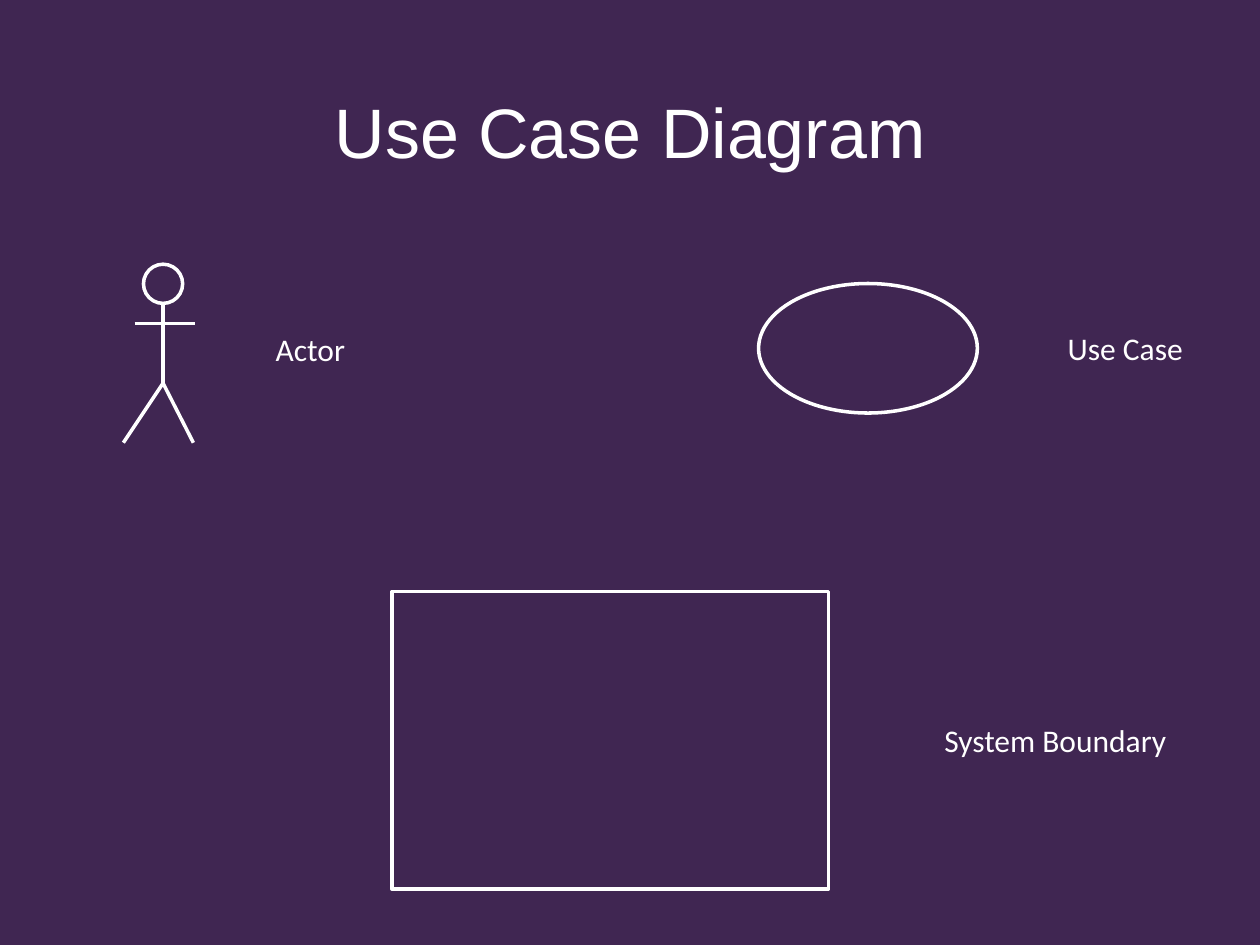
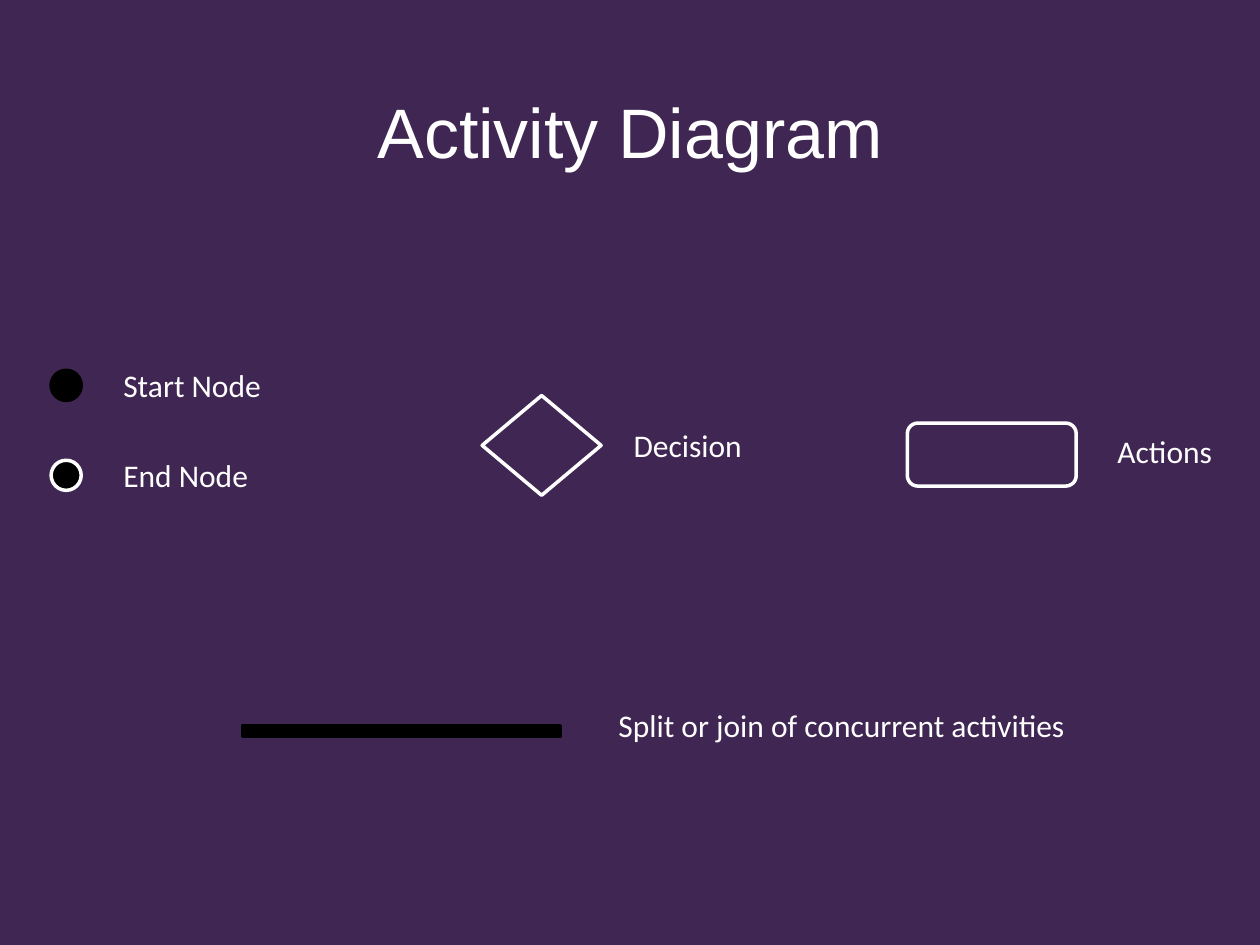
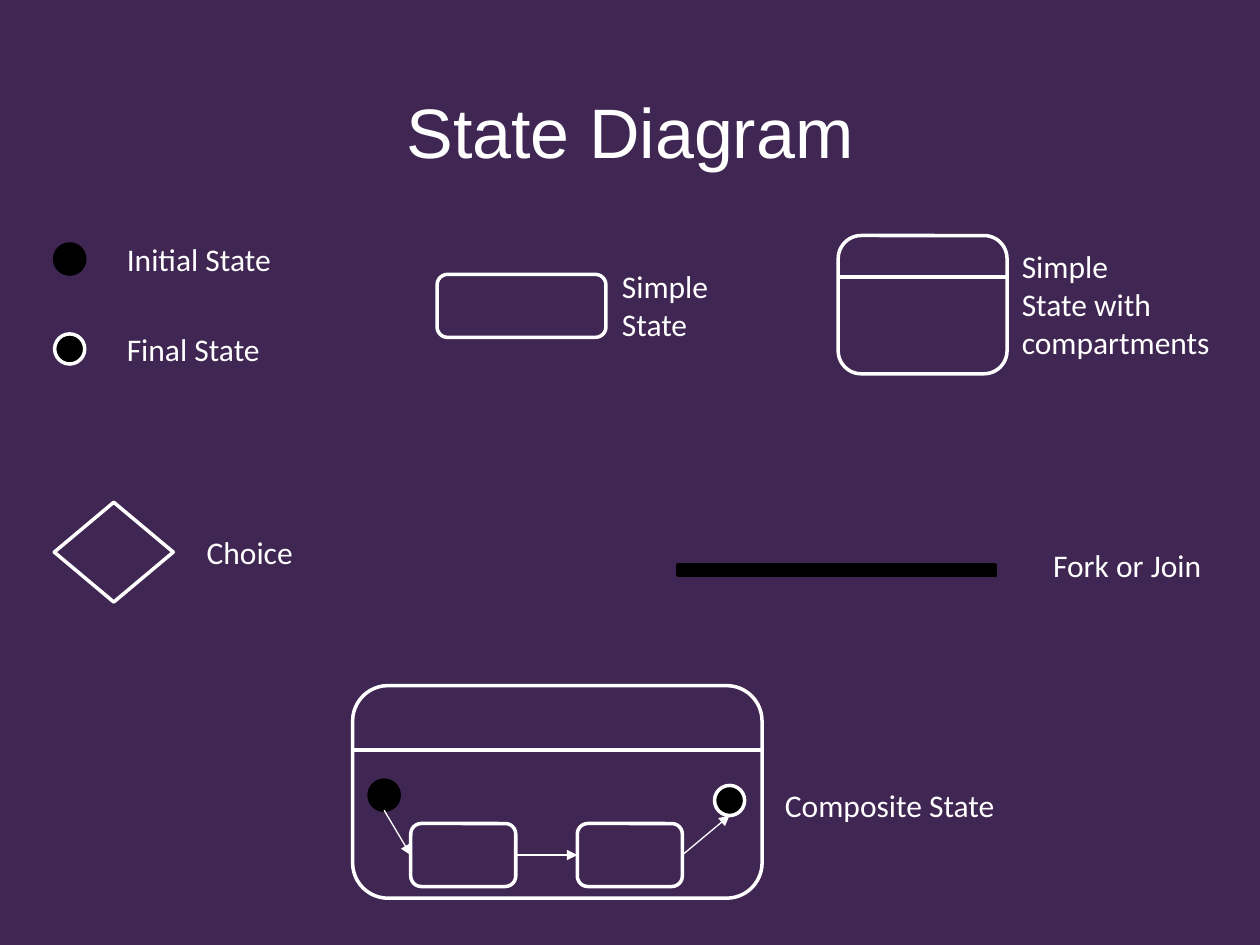
from dataclasses import dataclass

from lxml import etree
from pptx import Presentation
from pptx.dml.color import RGBColor
from pptx.enum.shapes import MSO_CONNECTOR, MSO_SHAPE
from pptx.enum.text import MSO_ANCHOR, MSO_AUTO_SIZE, PP_ALIGN
from pptx.oxml.ns import qn
from pptx.util import Pt

ELLIPSE = MSO_SHAPE.OVAL
RECTANGLE = MSO_SHAPE.RECTANGLE
ROUNDED = MSO_SHAPE.ROUNDED_RECTANGLE
DIAMOND = MSO_SHAPE.DIAMOND
STRAIGHT = MSO_CONNECTOR.STRAIGHT
TOP = MSO_ANCHOR.TOP
CENTER = PP_ALIGN.CENTER
NO_AUTOFIT = MSO_AUTO_SIZE.NONE
GROW = MSO_AUTO_SIZE.SHAPE_TO_FIT_TEXT
TITLE_ONLY = 5


@dataclass(frozen=True)
class Theme:
    background: RGBColor = RGBColor(0x40, 0x26, 0x52)
    ink: RGBColor = RGBColor(0xFF, 0xFF, 0xFF)
    solid: RGBColor = RGBColor(0x00, 0x00, 0x00)
    title_font: str = "Arial"
    title_size: int = 40
    label_font: str = "Calibri"
    label_size: int = 18
    label_line: int = 22
    label_padding: int = 7
    outline: float = 2
    arrow: float = 0.75


@dataclass(frozen=True)
class Box:
    left: float
    top: float
    width: float
    height: float

    @property
    def right(self):
        return self.left + self.width

    @property
    def bottom(self):
        return self.top + self.height

    @property
    def center(self):
        return self.left + self.width / 2

    @property
    def middle(self):
        return self.top + self.height / 2

    def inner(self, left, top, width, height):
        """Return a box placed relative to this one's top left corner."""
        return Box(self.left + left, self.top + top, width, height)

    def points(self):
        return [Pt(length) for length in (self.left, self.top, self.width, self.height)]


THEME = Theme()
TITLE_BOX = Box(36, 43, 648, 50)
NODE_SIZE = 17.2
NODE_PITCH = 51.4


def style_text(paragraph, font, size):
    paragraph.font.name = font
    paragraph.font.size = Pt(size)
    paragraph.font.color.rgb = THEME.ink


def add_page(deck, title):
    page = deck.slides.add_slide(deck.slide_layouts[TITLE_ONLY])
    holder = page.shapes.title
    holder.left, holder.top, holder.width, holder.height = TITLE_BOX.points()
    frame = holder.text_frame
    frame.text = title
    frame.auto_size = NO_AUTOFIT
    frame.vertical_anchor = TOP
    frame.margin_top, frame.margin_bottom = Pt(7.4), Pt(0)
    paragraph = frame.paragraphs[0]
    paragraph.alignment = CENTER
    style_text(paragraph, THEME.title_font, THEME.title_size)
    return page


def add_outline(shapes, preset, box, fill=None, line=THEME.ink):
    shape = shapes.add_shape(preset, *box.points())
    shape.shadow.inherit = False
    if fill is None:
        shape.fill.background()
    else:
        shape.fill.solid()
        shape.fill.fore_color.rgb = fill
    shape.line.color.rgb = line
    shape.line.width = Pt(THEME.outline)


def add_line(shapes, start, end, arrow=False):
    line = shapes.add_connector(STRAIGHT, *[Pt(length) for length in (*start, *end)])
    line.line.color.rgb = THEME.ink
    line.line.width = Pt(THEME.arrow if arrow else THEME.outline)
    if arrow:
        etree.SubElement(line.line._get_or_add_ln(), qn("a:tailEnd"), type="triangle")
    etree.SubElement(line._element.spPr, qn("a:effectLst"))


def add_label(shapes, text, box, gap, width, shift=0):
    """Write a label to the right of a symbol, level with its middle."""
    height = THEME.label_line * len(text.split("\n")) + THEME.label_padding
    place = Box(box.right + gap, box.middle - height / 2 + shift, width, height)
    frame = shapes.add_textbox(*place.points()).text_frame
    frame.word_wrap = False
    frame.auto_size = GROW
    frame.text = text
    for paragraph in frame.paragraphs:
        style_text(paragraph, THEME.label_font, THEME.label_size)


def draw_actor(shapes, box):
    head = box.inner(11.5, 0, 22.4, 22.4)
    hip = (head.center, box.top + 68)
    add_outline(shapes, ELLIPSE, head)
    add_line(shapes, (head.center, head.bottom), hip)
    add_line(shapes, hip, (box.left, box.bottom))
    add_line(shapes, hip, (box.right - 1, box.bottom))
    add_line(shapes, (box.left + 6.5, box.top + 33.8), (box.right, box.top + 33.8))


def draw_ellipse(shapes, box):
    add_outline(shapes, ELLIPSE, box)


def draw_rectangle(shapes, box):
    add_outline(shapes, RECTANGLE, box)


def draw_diamond(shapes, box):
    add_outline(shapes, DIAMOND, box)


def draw_rounded(shapes, box):
    add_outline(shapes, ROUNDED, box)


def draw_bar(shapes, box):
    add_outline(shapes, RECTANGLE, box, THEME.solid, THEME.solid)


def draw_start(shapes, box):
    add_outline(shapes, ELLIPSE, box, THEME.solid, THEME.solid)


def draw_end(shapes, box):
    add_outline(shapes, ELLIPSE, box, THEME.solid)


def draw_compartments(shapes, box, header=23.6):
    draw_rounded(shapes, box)
    add_line(shapes, (box.left, box.top + header), (box.right, box.top + header))


def draw_composite(shapes, box):
    draw_compartments(shapes, box, header=36.7)
    start = box.inner(9.4, 54, NODE_SIZE, NODE_SIZE)
    first = box.inner(33.2, 78.8, 60, 36)
    second = box.inner(128.4, 78.8, 60, 36)
    end = box.inner(206.8, 57, NODE_SIZE, NODE_SIZE)
    draw_start(shapes, start)
    draw_rounded(shapes, first)
    draw_rounded(shapes, second)
    draw_end(shapes, end)
    for source, target in (
        ((start.center, start.bottom), (first.left, first.middle)),
        ((first.right, first.middle), (second.left, second.middle)),
        ((second.right, second.middle), (end.center, end.bottom)),
    ):
        add_line(shapes, source, target, arrow=True)


def add_entry(page, draw, box, text, gap, width, shift=0):
    """Group one symbol with its label."""
    shapes = page.shapes.add_group_shape().shapes
    draw(shapes, box)
    add_label(shapes, text, box, gap, width, shift)


def add_node_pair(page, left, top, labels):
    """Group a start node above an end node; labels are (text, width) pairs."""
    shapes = page.shapes.add_group_shape().shapes
    for row, (draw, (text, width)) in enumerate(zip((draw_start, draw_end), labels)):
        box = Box(left, top + row * NODE_PITCH, NODE_SIZE, NODE_SIZE)
        draw(shapes, box)
        add_label(shapes, text, box, 17, width)


def build_use_case(deck):
    page = add_page(deck, "Use Case Diagram")
    add_entry(page, draw_actor, Box(70.5, 151, 41, 102), "Actor", 39, 55, -2.5)
    add_entry(page, draw_ellipse, Box(433.5, 162, 125, 74), "Use Case", 44.5, 81)
    add_entry(page, draw_rectangle, Box(224, 338, 249.5, 170), "System Boundary", 59, 142)


def build_activity(deck):
    page = add_page(deck, "Activity Diagram")
    add_node_pair(page, 29.2, 211.6, (("Start Node", 94), ("End Node", 86)))
    add_entry(page, draw_diamond, Box(275.5, 226, 68, 57), "Decision", 11.5, 77)
    add_entry(page, draw_rounded, Box(518.5, 241.8, 96.5, 36), "Actions", 16.5, 69, -2)
    add_entry(page, draw_bar, Box(138.8, 414.5, 181.5, 6),
              "Split or join of concurrent activities", 26, 273, -3)


def build_state(deck):
    page = add_page(deck, "State Diagram")
    add_node_pair(page, 31.2, 139.4, (("Initial State", 98), ("Final State", 91)))
    add_entry(page, draw_rounded, Box(249.8, 156.8, 96.5, 36), "Simple\nState", 2, 68)
    add_entry(page, draw_compartments, Box(479, 134.6, 96.5, 79),
              "Simple\nState with\ncompartments", 1.3, 123)
    add_entry(page, draw_diamond, Box(31, 287, 68, 57), "Choice", 12, 64)
    add_entry(page, draw_bar, Box(387.2, 323, 181.5, 6), "Fork or Join", 26, 100, -3)
    add_entry(page, draw_composite, Box(201.5, 391.8, 234, 121.5),
              "Composite State", 6, 166, 7.5)


def main():
    deck = Presentation()
    deck.slide_width, deck.slide_height = Pt(720), Pt(540)
    backdrop = deck.slide_master.background.fill
    backdrop.solid()
    backdrop.fore_color.rgb = THEME.background
    for build in (build_use_case, build_activity, build_state):
        build(deck)
    deck.save("out.pptx")


if __name__ == "__main__":
    main()
